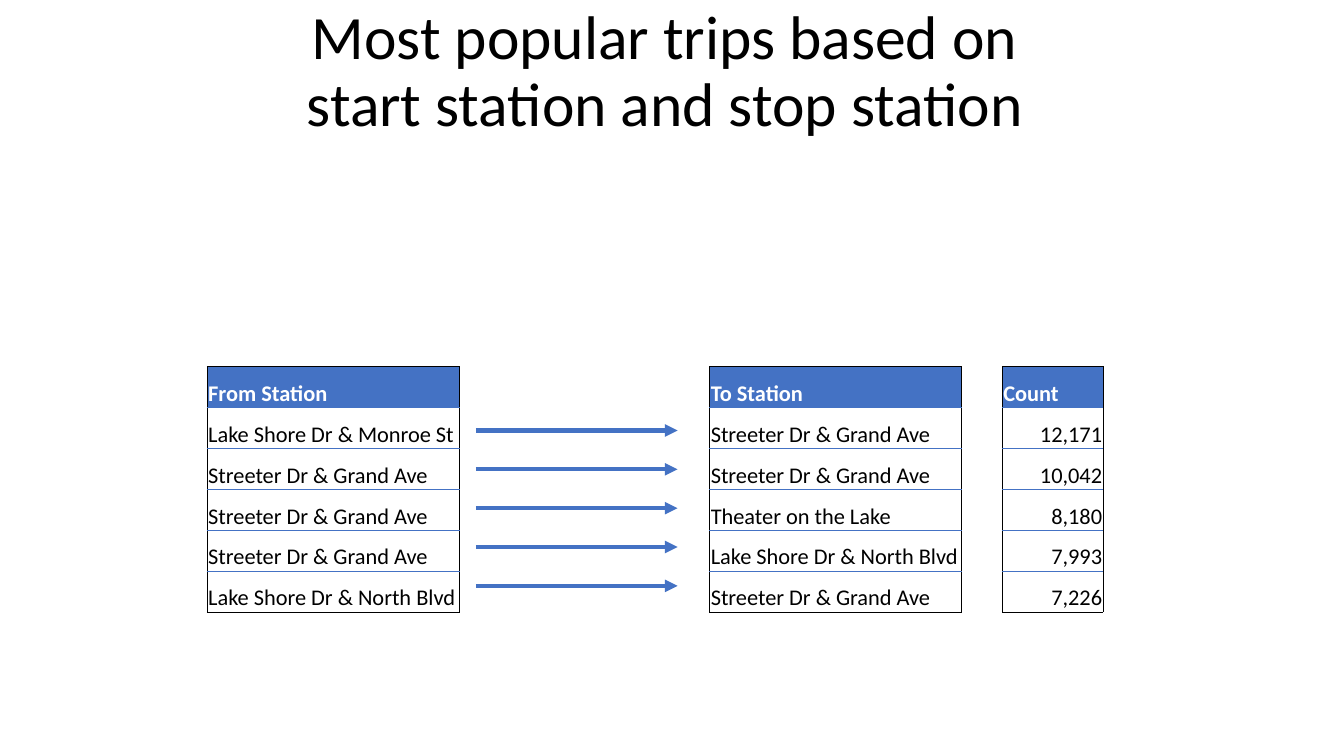
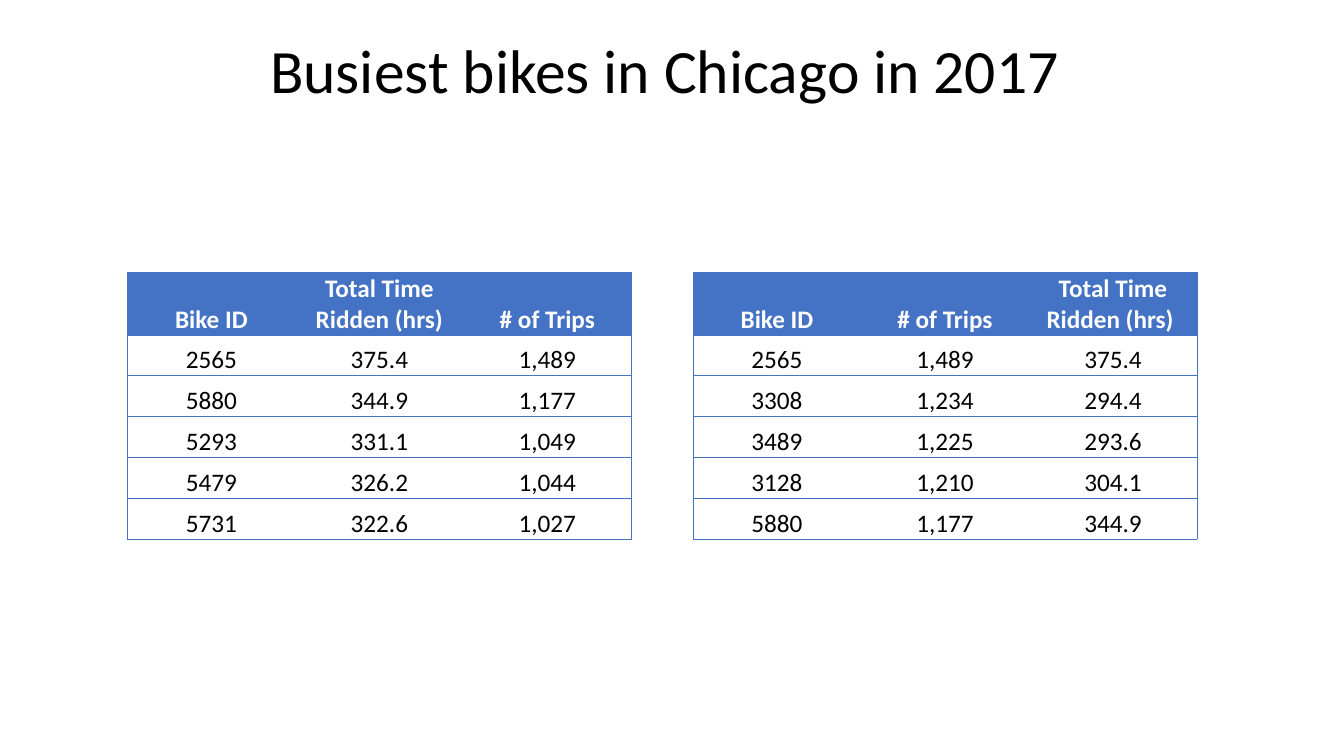
from dataclasses import dataclass
from pptx import Presentation
from pptx.dml.color import RGBColor as RGB
from pptx.enum.shapes import MSO_CONNECTOR as LINK
from pptx.enum.text import MSO_ANCHOR as ANCHOR, MSO_AUTO_SIZE as FIT, PP_ALIGN as ALIGN
from pptx.oxml.ns import qn
from pptx.util import Pt
from lxml.etree import SubElement as sub, Element


@dataclass(frozen=True)
class Theme:
    font: str = "Calibri"
    blue: str = "4472C4"
    black: str = "000000"
    white: str = "FFFFFF"
    title: float = 44
    large: float = 18
    small: float = 16
    rule: float = 0.5
    arrow: float = 3


T = Theme()
ROW = 29.17
PLAIN = "{2D5ABB26-0587-4C30-8999-92F81FD0307C}"  # table style without lines or fills

TRIPS = [
    ("From Station", "", "To Station", "", "Count"),
    ("Lake Shore Dr & Monroe St", "", "Streeter Dr & Grand Ave", "", "12,171"),
    ("Streeter Dr & Grand Ave", "", "Streeter Dr & Grand Ave", "", "10,042"),
    ("Streeter Dr & Grand Ave", "", "Theater on the Lake", "", "8,180"),
    ("Streeter Dr & Grand Ave", "", "Lake Shore Dr & North Blvd", "", "7,993"),
    ("Lake Shore Dr & North Blvd", "", "Streeter Dr & Grand Ave", "", "7,226"),
]
BY_TIME = [
    ("Bike ID", "Total Time Ridden (hrs)", "# of Trips"),
    ("2565", "375.4", "1,489"),
    ("5880", "344.9", "1,177"),
    ("5293", "331.1", "1,049"),
    ("5479", "326.2", "1,044"),
    ("5731", "322.6", "1,027"),
]
BY_TRIPS = [
    ("Bike ID", "# of Trips", "Total Time Ridden (hrs) "),
    ("2565", "1,489", "375.4"),
    ("3308", "1,234", "294.4"),
    ("3489", "1,225", "293.6"),
    ("3128", "1,210", "304.1"),
    ("5880", "1,177", "344.9"),
]


def write(frame, text, size, color=T.black, bold=False, align=ALIGN.LEFT, space=None):
    """Put text with one format into a frame; a vertical tab breaks the line."""
    para = frame.paragraphs[0]
    para.text = text
    para.alignment = align
    para.line_spacing = space
    for run in para.runs:
        font = run.font
        font.name, font.size, font.bold = T.font, Pt(size), bold
        font.color.rgb = RGB.from_string(color)


def add_page(deck, title):
    slide = deck.slides.add_slide(deck.slide_layouts[5])
    box = slide.shapes.title
    box.left, box.top, box.width, box.height = Pt(66), Pt(0), Pt(828), Pt(104.4)
    frame = box.text_frame
    frame.word_wrap = True
    frame.auto_size = FIT.NONE
    frame.vertical_anchor = ANCHOR.MIDDLE
    write(frame, title, T.title, align=ALIGN.CENTER, space=0.9)
    return slide


def add_edges(cell, edges):
    """Draw cell borders; edges maps L, R, T, B, in that order, to a colour."""
    props = cell._tc.get_or_add_tcPr()
    for spot, (side, color) in enumerate(edges.items()):
        line = Element(qn(f"a:ln{side}"), w=str(Pt(T.rule)))
        sub(sub(line, qn("a:solidFill")), qn("a:srgbClr"), val=color)
        props.insert(spot, line)


def add_grid(slide, left, top, data, cols, size, edge, aligns, head=ROW):
    """Add a table; columns with an empty heading are open gaps between blocks."""
    last = len(data) - 1
    tall = [head] + [ROW] * last
    table = slide.shapes.add_table(len(data), len(cols), Pt(left), Pt(top),
                                   Pt(sum(cols)), Pt(sum(tall))).table
    table.first_row = table.horz_banding = False
    table._tbl.tblPr.find(qn("a:tableStyleId")).text = PLAIN
    for col, width in zip(table.columns, cols):
        col.width = Pt(width)
    for row, height in zip(table.rows, tall):
        row.height = Pt(height)

    names = ("", *data[0], "")
    for r, line in enumerate(data):
        for c, text in enumerate(line):
            cell = table.cell(r, c)
            cell.margin_left = cell.margin_right = cell.margin_top = Pt(0.75)
            cell.margin_bottom = Pt(0)
            cell.vertical_anchor = ANCHOR.BOTTOM
            cell.fill.background()
            if not text:
                continue
            top_row = r == 0
            if top_row:
                cell.fill.solid()
                cell.fill.fore_color.rgb = RGB.from_string(T.blue)
            write(cell.text_frame, text, size, bold=top_row,
                  color=T.white if top_row else T.black,
                  align=aligns[0] if top_row else aligns[c])
            edges = {}
            if not names[c]:
                edges["L"] = edge
            if not names[c + 2]:
                edges["R"] = edge
            edges["T"] = edge if top_row else T.blue
            edges["B"] = edge if r == last else T.blue
            add_edges(cell, edges)


def add_arrow(slide, left, right, y):
    arrow = slide.shapes.add_connector(LINK.STRAIGHT, Pt(left), Pt(y), Pt(right), Pt(y))
    arrow.line.color.rgb = RGB.from_string(T.blue)
    arrow.line.width = Pt(T.arrow)
    sub(arrow.line._get_or_add_ln(), qn("a:tailEnd"), type="triangle")
    sub(arrow._element.spPr, qn("a:effectLst"))


def main():
    deck = Presentation()
    deck.slide_width, deck.slide_height = Pt(960), Pt(540)

    # Popular trips: stations joined by arrows
    slide = add_page(deck, "Most popular trips based on \vstart station and stop station ")
    add_grid(slide, 148, 262, TRIPS, (180, 179, 180, 29, 72), T.small, T.black,
             [ALIGN.LEFT] * 4 + [ALIGN.RIGHT])
    for step in range(len(TRIPS) - 1):
        add_arrow(slide, 340, 484, 307.5 + 27.75 * step)

    # Busiest bikes: by time and by trips
    slide = add_page(deck, "Busiest bikes in Chicago in 2017 ")
    for left, data in ((91, BY_TIME), (495, BY_TRIPS)):
        add_grid(slide, left, 194.5, data, [120] * 3, T.large, T.blue,
                 [ALIGN.CENTER] * 3, head=44.5)

    deck.save("out.pptx")


if __name__ == "__main__":
    main()
